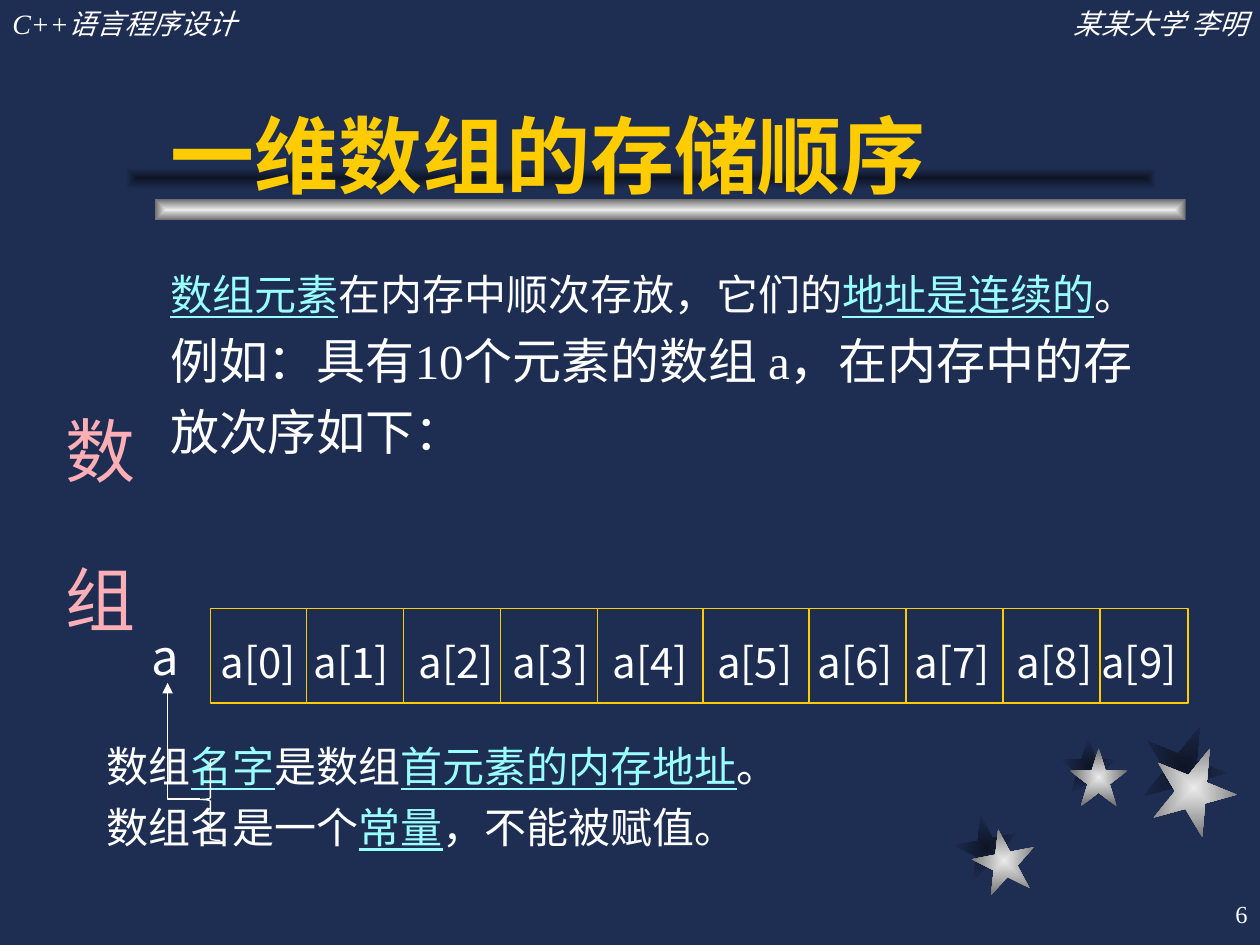
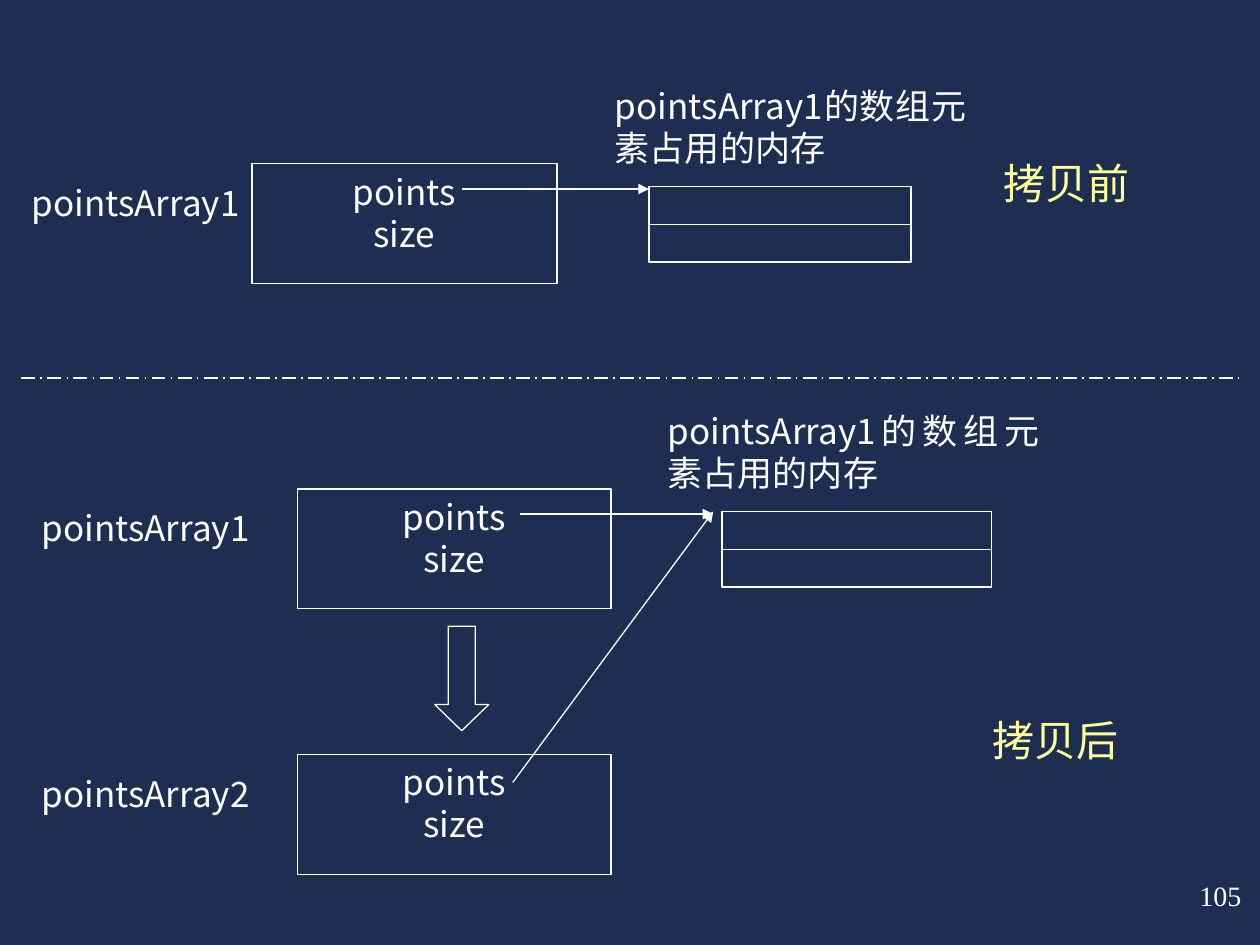
from itertools import accumulate
from lxml.etree import SubElement
from pptx import Presentation
from pptx.dml.color import RGBColor
from pptx.enum.dml import MSO_LINE
from pptx.enum.shapes import MSO_CONNECTOR, MSO_SHAPE
from pptx.enum.text import MSO_ANCHOR, MSO_AUTO_SIZE, PP_ALIGN
from pptx.oxml.ns import qn
from pptx.util import Inches, Pt

# Shared colours and fonts
NAVY = RGBColor(0x1E, 0x2E, 0x53)
SHADE = RGBColor(0x0E, 0x15, 0x26)
SILVER = RGBColor(0xEA, 0xEA, 0xEA)
GREY = RGBColor(0x6C, 0x6C, 0x6C)
WHITE = RGBColor(0xFF, 0xFF, 0xFF)
GOLD = RGBColor(0xFF, 0xCC, 0x00)
CYAN = RGBColor(0x99, 0xFF, 0xFF)
PINK = RGBColor(0xFD, 0xAF, 0xB5)
YELLOW = RGBColor(0xFF, 0xFF, 0x99)
SERIF, SANS, HEADING = "Times New Roman", "Noto Sans CJK SC", "Arial"
WIDTH, HEIGHT = 10, 7.5
KEY = {"color": CYAN, "underline": True}

# Slide 1 content: a paragraph is (size, spans), a span is text or (text, format)
COURSE, AUTHOR = "C++语言程序设计", "某某大学 李明"
TITLE = "一维数组的存储顺序"
INTRO = [
    (24, [("数组元素", KEY), "在内存中顺次存放，它们的", ("地址是连续的", KEY), "。"]),
    (28, ["例如：具有10个元素的数组 a，在内存中的存放次序如下："]),
]
NOTES = [
    (24, ["数组", ("名字", KEY), "是数组", ("首元素的内存地址", KEY), "。"]),
    (24, ["数组名是一个", ("常量", KEY), "，不能被赋值。"]),
]
CHAPTER = "数组"
CELL_WIDTHS = [0.76] + [0.77] * 3 + [0.84] * 2 + [0.77] * 3 + [0.7]
LABEL_LEFTS = [1.65, 2.39, 3.22, 3.97, 4.76, 5.59, 6.39, 7.16, 7.97, 8.64]
ARRAY_LEFT, ARRAY_TOP, ARRAY_HEIGHT = 1.67, 4.83, 0.75

# Decoration: (left, top, width, height, rotation)
SHADOW_PARTS = [
    (MSO_SHAPE.STAR_5_POINT, (7.58, 6.47, 0.5, 0.5), 349),
    (MSO_SHAPE.STAR_5_POINT, (8.41, 5.85, 0.46, 0.46), 0),
    (MSO_SHAPE.STAR_5_POINT, (9.06, 5.75, 0.67, 0.67), 22),
    (MSO_SHAPE.RECTANGLE, (1, 1.33, 8.18, 0.17), 0),
]
SILVER_PARTS = [
    (MSO_SHAPE.STAR_5_POINT, (7.72, 6.58, 0.5, 0.5), 349),
    (MSO_SHAPE.STAR_5_POINT, (8.49, 5.94, 0.46, 0.46), 0),
    (MSO_SHAPE.STAR_5_POINT, (9.14, 5.92, 0.67, 0.67), 22),
    (MSO_SHAPE.RECTANGLE, (1.23, 1.58, 8.18, 0.17), 0),
]

# Slide 2 content
MEMBERS = [(20, ["points"]), (20, ["size"])]
MEMORY_TEXT = "pointsArray1的数组元素占用的内存"
STAGES = [("拷贝前", 7.42, 1.25), ("拷贝后", 7.33, 5.67)]
OBJECTS = [  # name, name left, box left, box top, box width
    ("pointsArray1", 0.25, 2, 1.3, 2.42),
    ("pointsArray1", 0.33, 2.36, 3.88, 2.49),
    ("pointsArray2", 0.33, 2.36, 5.99, 2.49),
]
MEMORIES = [  # left, top, width, caption left, caption width
    (5.15, 1.48, 2.08, 4.88, 2.79),
    (5.73, 4.06, 2.14, 5.3, 2.95),
]
POINTERS = [
    ((3.67, 1.5), (5.15, 1.5)),
    ((4.13, 4.08), (5.66, 4.08)),
    ((4.07, 6.21), (5.66, 4.06)),
]


def apply(target, values):
    for name, value in values.items():
        setattr(target, name, value)


def place(shape, area):
    apply(shape, dict(zip(("left", "top", "width", "height"), map(Inches, area))))


def write(frame, paragraphs, font=SERIF, color=WHITE, para_format=None,
          inset=(0.1, 0.05), **span_format):
    side, edge = map(Inches, inset)
    apply(frame, {"margin_left": side, "margin_right": side,
                  "margin_top": edge, "margin_bottom": edge})
    for index, (size, spans) in enumerate(paragraphs):
        para = frame.paragraphs[0] if index == 0 else frame.add_paragraph()
        apply(para, para_format or {})
        for item in spans:
            text, special = (item, {}) if isinstance(item, str) else item
            values = {"name": font, "size": Pt(size), **span_format, **special}
            span = para.add_run()
            span.text = text
            span.font.color.rgb = values.pop("color", color)
            apply(span.font, values)


def add_text(page, area, paragraphs, wrap=True, anchor=MSO_ANCHOR.TOP, **style):
    box = page.shapes.add_textbox(*map(Inches, area))
    apply(box.text_frame, {"word_wrap": wrap, "vertical_anchor": anchor,
                           "auto_size": MSO_AUTO_SIZE.NONE})
    write(box.text_frame, paragraphs, **style)
    return box


def add_outline(page, kind, area, color=WHITE):
    shape = page.shapes.add_shape(kind, *map(Inches, area))
    shape.shadow.inherit = False
    shape.fill.background()
    shape.line.color.rgb = color
    shape.line.width = Pt(0.75)
    return shape


def add_line(page, start, end, color=WHITE, weight=0.75, arrow=False,
             kind=MSO_CONNECTOR.STRAIGHT):
    line = page.shapes.add_connector(kind, *map(Inches, (*start, *end)))
    line.line.color.rgb = color
    line.line.width = Pt(weight)
    if arrow:
        SubElement(line.line._get_or_add_ln(), qn("a:tailEnd"), type="triangle")
    SubElement(line._element.spPr, qn("a:effectLst"))
    return line


def add_glow(page, kind, area, rotation, inner, outer):
    """Add a shape shaded from its centre to its edges."""
    shape = page.shapes.add_shape(kind, *map(Inches, area))
    shape.rotation = rotation
    shape.shadow.inherit = False
    shape.line.fill.background()
    shape.fill.gradient()
    for stop, color, position in zip(shape.fill.gradient_stops, (inner, outer), (0, 1)):
        stop.color.rgb = color
        stop.position = position
    gradient = shape._element.spPr.find(qn("a:gradFill"))
    gradient.remove(gradient.find(qn("a:lin")))
    shading = SubElement(gradient, qn("a:path"), {"path": "rect"})
    SubElement(shading, qn("a:fillToRect"), dict.fromkeys("ltrb", "50000"))


def decorate(page):
    for parts, inner, outer in ((SHADOW_PARTS, SHADE, NAVY), (SILVER_PARTS, SILVER, GREY)):
        for kind, area, rotation in parts:
            add_glow(page, kind, area, rotation, inner, outer)
    band = 3.08
    for text, left, side in ((COURSE, 0, PP_ALIGN.LEFT),
                             (AUTHOR, WIDTH - band, PP_ALIGN.RIGHT)):
        add_text(page, (left, 0, band, 0.37), [(16, [text])], italic=True,
                 para_format={"alignment": side})


def fill_placeholder(page, holder, area, paragraphs, anchor, **style):
    place(holder, area)
    page.shapes._spTree.append(holder._element)  # bring in front of the decoration
    apply(holder.text_frame, {"auto_size": MSO_AUTO_SIZE.NONE, "vertical_anchor": anchor})
    write(holder.text_frame, paragraphs, **style)
    for para in holder.text_frame.paragraphs:
        properties = para._p.get_or_add_pPr()
        apply(para, {"space_before": Pt(0)})
        apply_xml = {"marL": "0", "indent": "0"}
        properties.attrib.update(apply_xml)
        SubElement(properties, qn("a:buNone"))


def draw_array(page):
    centred = {"alignment": PP_ALIGN.CENTER}
    bottom = ARRAY_TOP + ARRAY_HEIGHT
    add_outline(page, MSO_SHAPE.RECTANGLE,
                (ARRAY_LEFT, ARRAY_TOP, sum(CELL_WIDTHS), ARRAY_HEIGHT), GOLD)
    for offset in accumulate(CELL_WIDTHS[:-1]):
        x = ARRAY_LEFT + offset
        add_line(page, (x, ARRAY_TOP), (x, bottom), GOLD)
    labels = [(f"a[{index}]", (left, 5, 0.8, 0.5), 24)
              for index, left in enumerate(LABEL_LEFTS)]
    for text, area, size in labels + [("a", (1.1, 4.92, 0.42, 0.57), 28)]:
        add_text(page, area, [(size, [text])], wrap=False, anchor=MSO_ANCHOR.MIDDLE,
                 font=SANS, para_format=centred)


def build_storage_page(deck):
    page = deck.slides.add_slide(deck.slide_layouts[1])
    decorate(page)
    spaced = {"line_spacing": 1.2}
    fill_placeholder(page, page.shapes.title, (1.25, 0.42, 8, 1.25), [(48, [TITLE])],
                     MSO_ANCHOR.BOTTOM, font=HEADING, color=GOLD, bold=True,
                     para_format={"alignment": PP_ALIGN.LEFT})
    fill_placeholder(page, page.placeholders[1], (1.25, 2, 8, 2.17), INTRO,
                     MSO_ANCHOR.TOP, para_format=spaced)
    add_text(page, (0.75, 5.75, 8.5, 1.67), NOTES, para_format=spaced)
    draw_array(page)

    # Brace around the notes, with an elbow arrow up to the array name
    add_outline(page, MSO_SHAPE.LEFT_BRACE, (1.59, 6.02, 0.16, 0.65))
    elbow = add_line(page, (1.33, 5.42), (1.59, 6.34), arrow=True, kind=MSO_CONNECTOR.ELBOW)
    elbow._element.spPr.find(qn("a:prstGeom")).set("prst", "bentConnector2")
    elbow._element.spPr.find(qn("a:xfrm")).set("rot", "10800000")

    # Vertical chapter name
    chapter = add_text(page, (0.3, 1.5, 0.86, 4.83), [(40, [CHAPTER])], color=PINK,
                       inset=(0.05, 0.1), para_format={"space_before": Pt(25)})
    chapter.text_frame.margin_top = Inches(1.8)
    chapter.text_frame._txBody.bodyPr.set("vert", "eaVert")
    chapter.text_frame.paragraphs[0].runs[0].font._element.set("spc", "4500")

    add_text(page, (7.92, 7, 2.08, 0.5), [(14, ["6"])], wrap=False,
             anchor=MSO_ANCHOR.MIDDLE, para_format={"alignment": PP_ALIGN.RIGHT})


def build_copy_page(deck):
    page = deck.slides.add_slide(deck.slide_layouts[6])
    centred = {"alignment": PP_ALIGN.CENTER}
    caption = {"font": SANS, "inset": (0, 0),
               "para_format": {"alignment": PP_ALIGN.JUSTIFY}}
    for text, left, top in STAGES:
        add_text(page, (left, top, 2.09, 0.43), [(24, [text])], color=YELLOW,
                 inset=(0.1, 0), para_format=centred)

    # Objects with their members
    for name, name_left, left, top, width in OBJECTS:
        box = add_outline(page, MSO_SHAPE.RECTANGLE, (left, top, width, 0.95))
        box.text_frame.vertical_anchor = MSO_ANCHOR.TOP
        write(box.text_frame, MEMBERS, font=SANS, inset=(0, 0.05), para_format=centred)
        add_text(page, (name_left, top + 0.14, 2, 0.36), [(20, [name])], **caption)

    # Memory blocks, each split in two
    for left, top, width, text_left, text_width in MEMORIES:
        block = add_outline(page, MSO_SHAPE.RECTANGLE, (left, top, width, 0.6))
        divider = add_line(page, (left, top + 0.3), (left + width, top + 0.3))
        divider.begin_connect(block, 1)
        divider.end_connect(block, 3)
        add_text(page, (text_left, top - 0.81, text_width, 0.77),
                 [(20, [MEMORY_TEXT])], **caption)

    # Pointers, copy arrow and the line between the stages
    for start, end in POINTERS:
        add_line(page, start, end, arrow=True)
    arrow = add_outline(page, MSO_SHAPE.DOWN_ARROW, (3.45, 4.97, 0.43, 0.83))
    arrow.adjustments[1] = 0.485
    middle = HEIGHT * 0.4
    border = add_line(page, (0.17, middle), (WIDTH - 0.17, middle), weight=1)
    border.line.dash_style = MSO_LINE.LONG_DASH_DOT
    add_text(page, (9.42, 6.92, 0.58, 0.37), [(16, ["105"])])


def main():
    deck = Presentation()
    apply(deck, {"slide_width": Inches(WIDTH), "slide_height": Inches(HEIGHT)})
    backdrop = deck.slide_master.background.fill
    backdrop.solid()
    backdrop.fore_color.rgb = NAVY
    build_storage_page(deck)
    build_copy_page(deck)
    deck.save("out.pptx")


if __name__ == "__main__":
    main()
